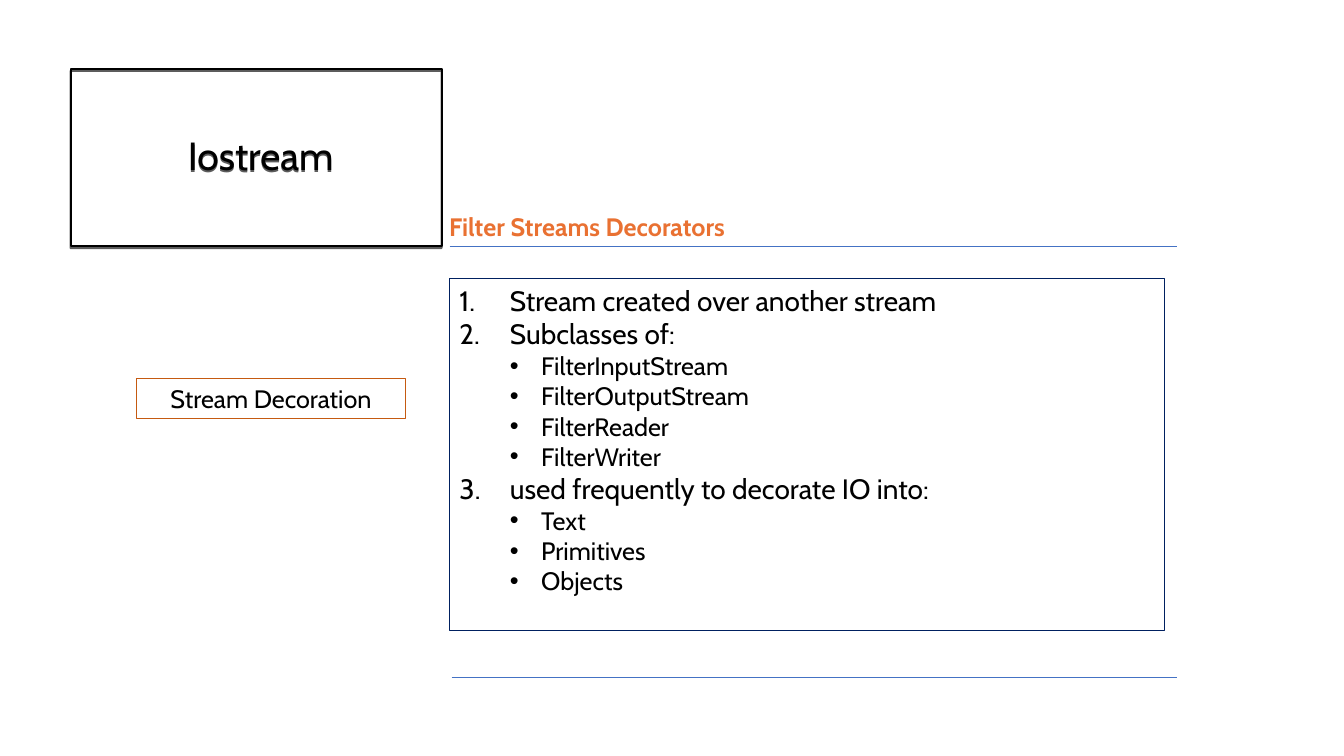
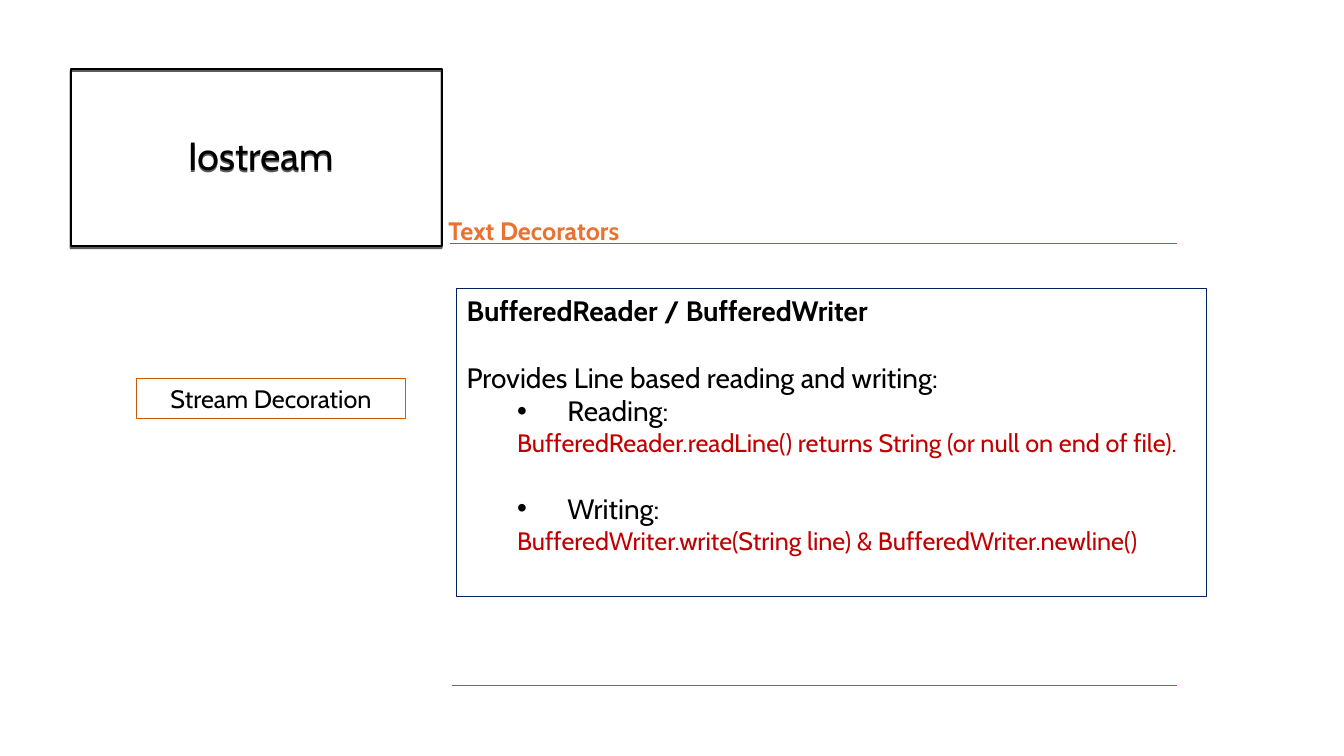
from lxml.etree import SubElement
from pptx import Presentation
from pptx.dml.color import RGBColor
from pptx.enum.shapes import MSO_CONNECTOR, MSO_SHAPE
from pptx.enum.text import MSO_ANCHOR, PP_ALIGN
from pptx.oxml.ns import qn
from pptx.util import Cm, Pt

BLACK = RGBColor(0x00, 0x00, 0x00)
NAVY = RGBColor(0x00, 0x20, 0x60)
BLUE = RGBColor(0x44, 0x72, 0xC4)
ORANGE = RGBColor(0xE9, 0x71, 0x32)
RUST = RGBColor(0xC5, 0x5A, 0x11)
RED = RGBColor(0xC0, 0x00, 0x00)
FONT = "Cabin"

NUMBERED = dict(size=20, indent=1.27, hanging=1.27, marker="number")
BULLETED = dict(size=18, level=1, indent=2.06, hanging=0.79, marker="bullet")
ACTION = dict(size=20, level=1, indent=2.54, hanging=1.27, marker="bullet")
CODE = dict(size=18, level=1, indent=1.27, color=RED)
BLANK_LINE = 24

SLIDES = [
    dict(
        heading="Filter Streams Decorators",
        heading_box=(11.07, 5.21, 9.53, 1.02),
        rule_tops=(6.22, 17.07),
        panel_box=(11.33, 7.01, 18.01, 8.89),
        lines=[
            ("Stream created over another stream", NUMBERED),
            ("Subclasses of:", NUMBERED),
            ("FilterInputStream", BULLETED),
            ("FilterOutputStream", BULLETED),
            ("FilterReader", BULLETED),
            ("FilterWriter", BULLETED),
            ("used frequently to decorate IO into:", NUMBERED),
            ("Text", BULLETED),
            ("Primitives", BULLETED),
            ("Objects", BULLETED),
        ],
    ),
    dict(
        heading="Text Decorators",
        heading_box=(11.05, 5.31, 6.65, 1.02),
        rule_tops=(6.12, 17.27),
        panel_box=(11.51, 7.26, 18.9, 7.77),
        lines=[
            ("BufferedReader / BufferedWriter", dict(size=20, bold=True)),
            ("Provides Line based reading and writing:",
             dict(size=20, before=BLANK_LINE)),
            ("Reading:", ACTION),
            ("BufferedReader.readLine() returns String (or null on end of file).", CODE),
            ("Writing:", dict(ACTION, before=BLANK_LINE)),
            ("BufferedWriter.write(String line) & BufferedWriter.newline()", CODE),
        ],
    ),
]


def write(paragraph, text, size=18, color=BLACK, bold=False, align=PP_ALIGN.LEFT,
          level=0, indent=0, hanging=0, marker=None, before=0, spacing=None):
    """Fill a paragraph with one formatted run and an optional list marker."""
    paragraph.alignment = align
    paragraph.level = level
    paragraph.space_before = Pt(before)
    if spacing:
        paragraph.line_spacing = spacing
    run = paragraph.add_run()
    run.text = text
    run.font.name = FONT
    run.font.size = Pt(size)
    run.font.bold = bold
    run.font.color.rgb = color
    properties = paragraph._p.get_or_add_pPr()
    properties.set("marL", str(Cm(indent)))
    properties.set("indent", str(-Cm(hanging)))
    if marker == "number":
        SubElement(properties, qn("a:buFont"), typeface="+mj-lt")
        SubElement(properties, qn("a:buAutoNum"), type="arabicPeriod")
    elif marker == "bullet":
        SubElement(properties, qn("a:buFont"), typeface="Arial")
        SubElement(properties, qn("a:buChar"), char="•")
    else:
        SubElement(properties, qn("a:buNone"))


def add_frame(slide, box, color, width, anchor=MSO_ANCHOR.TOP):
    """Add an unfilled outlined rectangle that holds text."""
    frame = slide.shapes.add_shape(MSO_SHAPE.RECTANGLE, *map(Cm, box))
    frame.shadow.inherit = False
    frame.fill.background()
    frame.line.color.rgb = color
    frame.line.width = Pt(width)
    frame.text_frame.word_wrap = True
    frame.text_frame.vertical_anchor = anchor
    return frame


def add_title(slide, box):
    """Add the course title in its frame with a drop shadow."""
    title = add_frame(slide, box, BLACK, 1.5, MSO_ANCHOR.MIDDLE)
    title.text_frame.margin_left = Cm(0.48)
    write(title.text_frame.paragraphs[0], "Iostream", size=28,
          align=PP_ALIGN.CENTER, spacing=0.9)
    effects = title._element.spPr.find(qn("a:effectLst"))
    shadow = SubElement(effects, qn("a:outerShdw"), dist=str(Pt(1.5)),
                        dir="5400000", algn="ctr", rotWithShape="0")
    tone = SubElement(shadow, qn("a:srgbClr"), val=str(BLACK))
    SubElement(tone, qn("a:alpha"), val="63000")


def add_topic(slide, box):
    """Add the framed topic label in the left column."""
    topic = add_frame(slide, box, RUST, 0.75)
    write(topic.text_frame.paragraphs[0], "Stream Decoration", align=PP_ALIGN.CENTER)


def add_heading(slide, box, text):
    """Add the orange section heading."""
    heading = slide.shapes.add_textbox(*map(Cm, box))
    heading.text_frame.word_wrap = True
    write(heading.text_frame.paragraphs[0], text, color=ORANGE, bold=True)


def add_rule(slide, left, right, top):
    """Add a thin horizontal rule."""
    rule = slide.shapes.add_connector(
        MSO_CONNECTOR.STRAIGHT, Cm(left), Cm(top), Cm(right), Cm(top))
    rule.line.color.rgb = BLUE
    rule.line.width = Pt(0.5)
    SubElement(rule._element.spPr, qn("a:effectLst"))


def add_panel(slide, box, lines):
    """Add the framed body text, one paragraph for each line."""
    body = add_frame(slide, box, NAVY, 0.75).text_frame
    for index, (text, style) in enumerate(lines):
        paragraph = body.add_paragraph() if index else body.paragraphs[0]
        write(paragraph, text, **style)


def add_stream_slide(deck, heading, heading_box, rule_tops, panel_box, lines):
    """Add one slide with the shared title, topic and rules."""
    slide = deck.slides.add_slide(deck.slide_layouts[6])
    add_title(slide, (1.78, 1.73, 9.35, 4.47))
    add_panel(slide, panel_box, lines)
    for left, top in zip((11.33, 11.38), rule_tops):
        add_rule(slide, left, 29.67, top)
    add_heading(slide, heading_box, heading)
    add_topic(slide, (3.45, 9.53, 6.76, 1.02))


def main():
    """Build and save the deck."""
    deck = Presentation()
    deck.slide_width, deck.slide_height = Cm(33.87), Cm(19.05)
    for content in SLIDES:
        add_stream_slide(deck, **content)
    deck.save("out.pptx")


if __name__ == "__main__":
    main()
